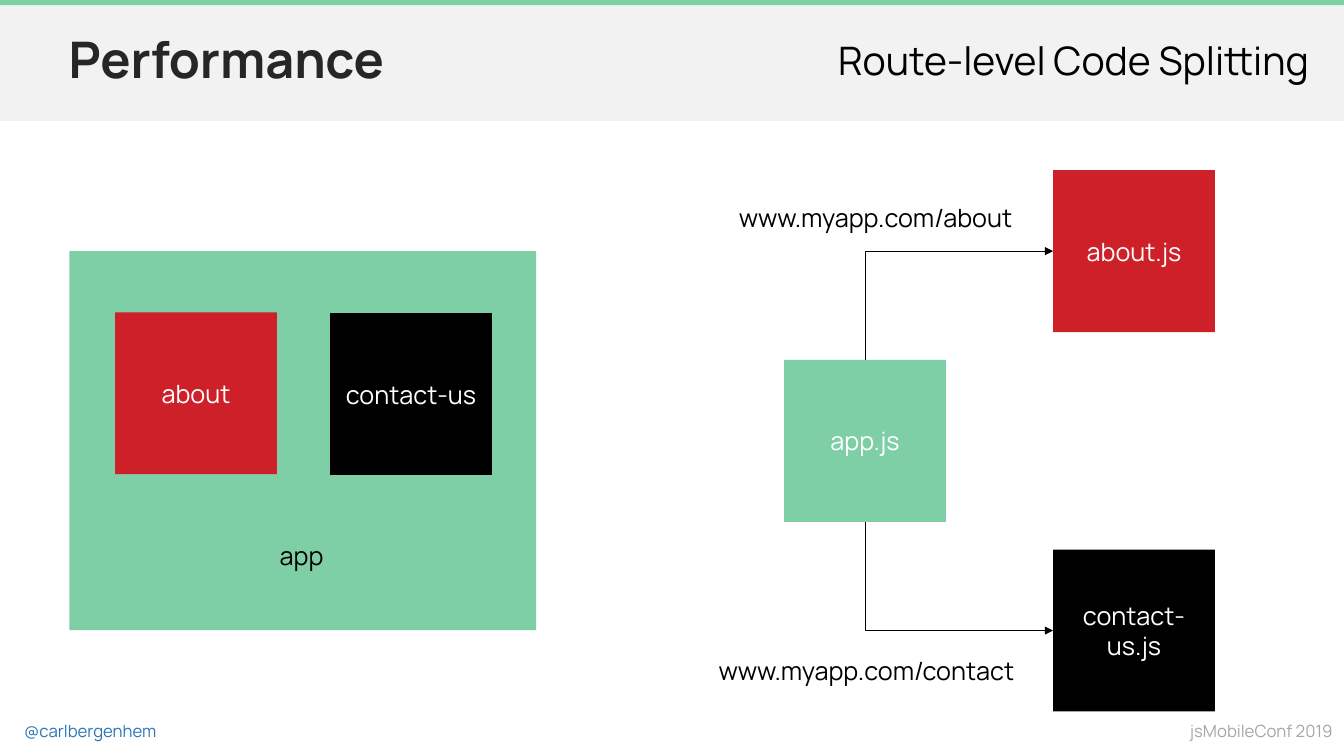
from lxml import etree
from pptx import Presentation
from pptx.dml.color import RGBColor
from pptx.enum import shapes, text
from pptx.oxml.ns import qn
from pptx.util import Cm, Pt

FONT = "Manrope"
GREEN, RED, BLACK, WHITE = "7ECEA6", "CE2029", "000000", "FFFFFF"
SIDE = 4.08  # every module is a square of this size


def rgb(value):
    return RGBColor.from_string(value)


def add_run(p, words, size, color, bold=False):
    r = p.add_run()
    r.text = words
    r.font.name = FONT
    r.font.size = Pt(size)
    r.font.bold = bold
    r.font.color.rgb = rgb(color)


def add_box(s, x, y, w, h, fill):
    sp = s.shapes.add_shape(shapes.MSO_SHAPE.RECTANGLE, Cm(x), Cm(y), Cm(w), Cm(h))
    sp.shadow.inherit = False
    sp.fill.solid()
    sp.fill.fore_color.rgb = rgb(fill)
    sp.line.fill.background()
    return sp


def add_module(s, x, y, fill, name):
    sp = add_box(s, x, y, SIDE, SIDE, fill)
    tf = sp.text_frame
    tf.word_wrap = True
    tf.vertical_anchor = text.MSO_ANCHOR.MIDDLE
    p = tf.paragraphs[0]
    p.alignment = text.PP_ALIGN.CENTER
    add_run(p, name, 18, WHITE)
    return sp


def add_label(s, x, y, w, h, words, size, color):
    tf = s.shapes.add_textbox(Cm(x), Cm(y), Cm(w), Cm(h)).text_frame
    tf.word_wrap = False
    tf.auto_size = text.MSO_AUTO_SIZE.SHAPE_TO_FIT_TEXT
    add_run(tf.paragraphs[0], words, size, color)


def add_heading(s, x, w, words, size, color, bold=False):
    tf = s.shapes.add_textbox(Cm(x), Cm(0.13), Cm(w), Cm(2.88)).text_frame
    tf.word_wrap = True
    tf.vertical_anchor = text.MSO_ANCHOR.MIDDLE
    p = tf.paragraphs[0]
    p.line_spacing = 0.9
    add_run(p, words, size, color, bold)


def add_bent_arrow(s, source, target):
    """One-bend arrow from the top or bottom of source to the left of target."""
    up = target.top < source.top
    x1, x2 = source.left + source.width // 2, target.left
    y1 = source.top if up else source.top + source.height
    y2 = target.top + target.height // 2
    c = s.shapes.add_connector(shapes.MSO_CONNECTOR.ELBOW, x1, y1, x2, y2)
    c.begin_connect(source, 0 if up else 2)
    c.end_connect(target, 1)

    # The shape is turned a quarter, so its width is the vertical run
    c.width, c.height = abs(y2 - y1), x2 - x1
    c.left = (x1 + x2 - c.width) // 2
    c.top = (y1 + y2 - c.height) // 2
    sp_pr = c._element.spPr
    xfrm = sp_pr.find(qn("a:xfrm"))
    xfrm.set("rot", str((90 if up else 270) * 60000))
    xfrm.set("flipH", "1")
    xfrm.set("flipV", "1" if up else "0")
    sp_pr.find(qn("a:prstGeom")).set("prst", "bentConnector2")

    c.line.width = Pt(0.5)
    c.line.color.rgb = rgb(BLACK)
    etree.SubElement(sp_pr.find(qn("a:ln")), qn("a:tailEnd"), type="triangle")
    etree.SubElement(sp_pr, qn("a:effectLst"))


def main():
    prs = Presentation()
    prs.slide_width, prs.slide_height = Cm(33.87), Cm(19.05)
    s = prs.slides.add_slide(prs.slide_layouts[6])

    # Header and footer
    add_box(s, 0, 0.13, 33.87, 2.92, "F2F2F2")
    add_box(s, 0, 0, 33.87, 0.13, GREEN)
    add_label(s, 0.36, 18.03, 3.91, 0.76, "@carlbergenhem", 12, "2E75B6")
    add_label(s, 29.74, 18.03, 4.13, 0.76, "jsMobileConf 2019", 12, "A6A6A6")
    add_heading(s, 1.48, 18.29, "Performance", 36, "262626", bold=True)
    add_heading(s, 20.87, 13, "Route-level Code Splitting", 28, BLACK)

    # Single bundle
    add_box(s, 1.75, 6.33, 11.76, 9.55, GREEN)
    add_module(s, 2.9, 7.87, RED, "about")
    add_module(s, 8.32, 7.89, BLACK, "contact-us")
    add_label(s, 6.8, 13.49, 1.65, 1.02, "app", 18, BLACK)

    # Split bundles
    app = add_module(s, 19.76, 9.07, GREEN, "app.js")
    about = add_module(s, 26.54, 4.29, RED, "about.js")
    contact = add_module(s, 26.54, 13.85, BLACK, "contact-us.js")
    for target in (about, contact):
        add_bent_arrow(s, app, target)
    add_label(s, 18.37, 4.98, 7.82, 1.02, "www.myapp.com/about", 18, BLACK)
    add_label(s, 17.86, 16.38, 8.33, 1.02, "www.myapp.com/contact", 18, BLACK)

    prs.save("out.pptx")


if __name__ == "__main__":
    main()
